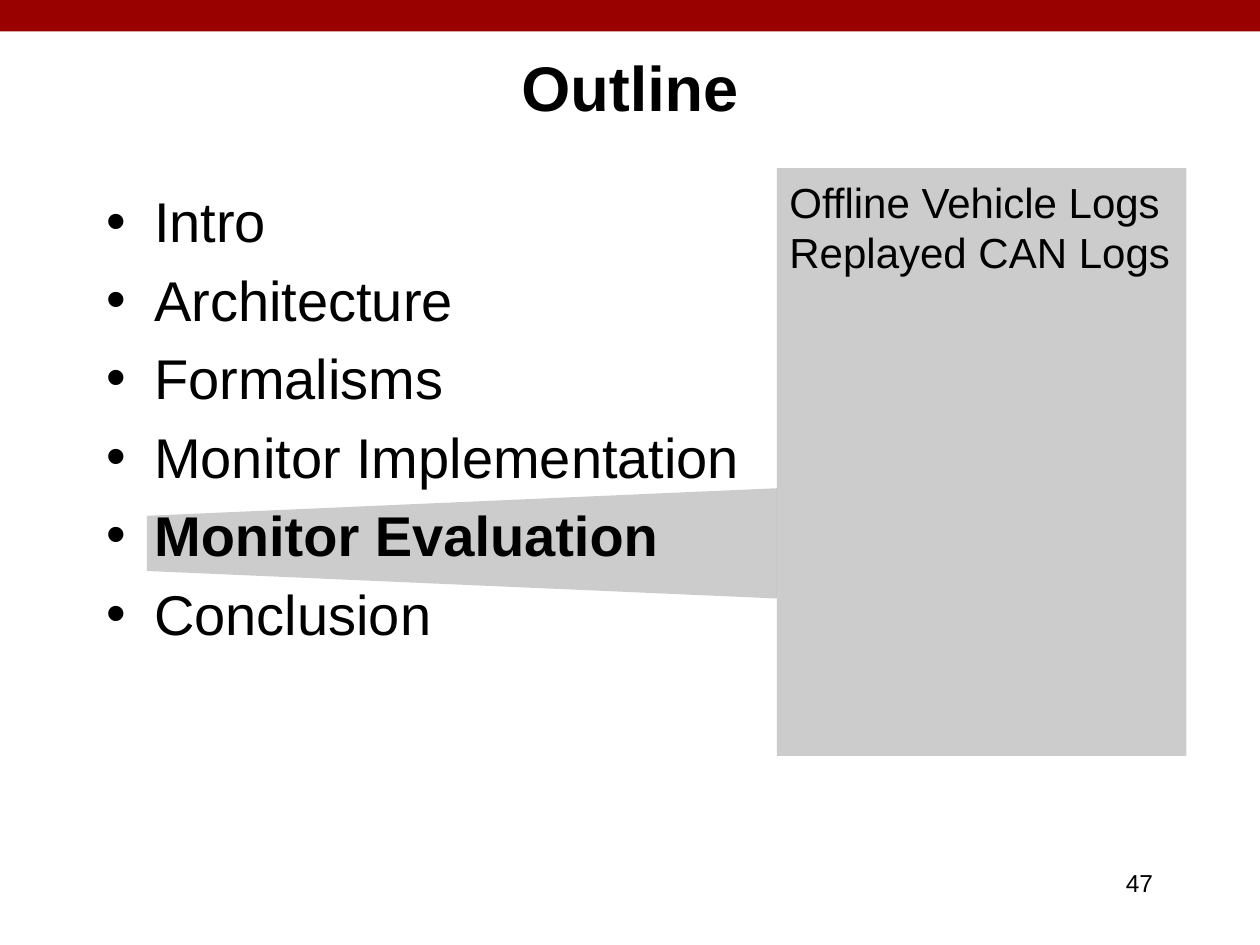
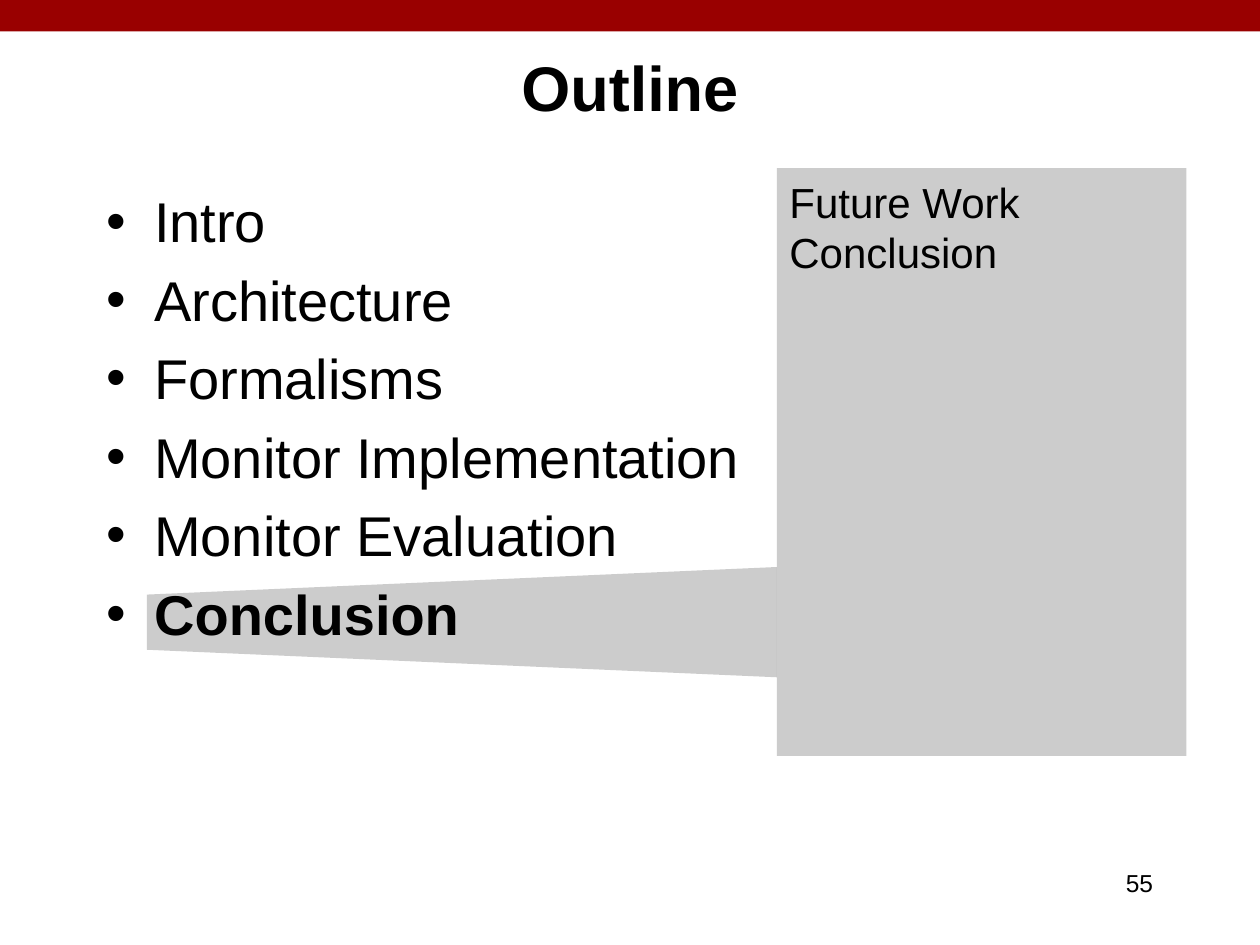
from lxml.etree import SubElement
from pptx import Presentation
from pptx.dml.color import RGBColor
from pptx.enum.shapes import MSO_SHAPE
from pptx.enum.text import MSO_ANCHOR, PP_ALIGN
from pptx.oxml.ns import qn
from pptx.util import Pt

# Content
TITLE = "Outline"
TOPICS = ["Intro", "Architecture", "Formalisms", "Monitor Implementation",
          "Monitor Evaluation", "Conclusion"]
PAGES = [
    ("Monitor Evaluation", ["Offline Vehicle Logs", "Replayed CAN Logs"], "47"),
    ("Conclusion", ["Future Work", "Conclusion"], "55"),
]

# Style
FONT = "Arial"
RED = RGBColor(0x99, 0x00, 0x00)
GRAY = RGBColor(0x80, 0x80, 0x80)
BLACK = RGBColor(0x00, 0x00, 0x00)
ALPHA = 40
LEAD = 1.2      # line pitch per point of text size
DROP = 0.04     # text shift per point of text size
INSET = 3.6

# Places in points: left, top, width, height
WIDE, HIGH = 720, 540
BAND = (0, 0, WIDE, 18)
HEAD = (54, 18, 612, 60)
LIST = (54, 102, 408, 360)
PANEL = (444, 96, 234, 336)
NUMBER = (516, 492, 150, 36)
BEAM_LONG, BEAM_WIDE = 360, 63
FIRST, STEP = 130.5, 45     # centre of the first beam, pitch of the topics
INDENT, GAP = 27, 6.4


def draw(slide, kind, place, color, alpha=None):
    shape = slide.shapes.add_shape(kind, *map(Pt, place))
    shape.shadow.inherit = False
    shape.line.fill.background()
    shape.fill.solid()
    shape.fill.fore_color.rgb = color
    if alpha:
        tone = shape.fill._xPr.find(f"{qn('a:solidFill')}/{qn('a:srgbClr')}")
        SubElement(tone, qn("a:alpha")).set("val", str(alpha * 1000))
    return shape


def write(shape, lines, size, align=PP_ALIGN.LEFT, anchor=MSO_ANCHOR.TOP,
          strong=None, bullet=False):
    frame = shape.text_frame
    frame.text = "\n".join(lines)
    frame.word_wrap = True
    frame.vertical_anchor = anchor
    frame.margin_top = Pt(INSET + DROP * size)
    frame.margin_bottom = Pt(INSET - DROP * size)
    for i, para in enumerate(frame.paragraphs):
        if bullet:
            props = para._p.get_or_add_pPr()
            props.set("marL", str(Pt(INDENT)))
            props.set("indent", str(-Pt(INDENT)))
            SubElement(props, qn("a:buFont")).set("typeface", FONT)
            SubElement(props, qn("a:buChar")).set("char", "•")
            if i:
                para.space_before = Pt(GAP)
        para.alignment = align
        para.line_spacing = Pt(LEAD * size)
        for run in para.runs:
            run.font.name = FONT
            run.font.size = Pt(size)
            run.font.color.rgb = BLACK
            run.font.bold = run.text == strong


def add_text(slide, place, lines, size, **style):
    write(slide.shapes.add_textbox(*map(Pt, place)), lines, size, **style)


def add_beam(slide, topic):
    # Turned trapezoid that widens from the topic to the panel
    mid_x = PANEL[0] - BEAM_LONG / 2
    mid_y = FIRST + STEP * TOPICS.index(topic)
    place = (mid_x - BEAM_WIDE / 2, mid_y - BEAM_LONG / 2, BEAM_WIDE, BEAM_LONG)
    beam = draw(slide, MSO_SHAPE.TRAPEZOID, place, GRAY, ALPHA)
    beam.rotation = 270


def add_page(deck, topic, parts, number):
    slide = deck.slides.add_slide(deck.slide_layouts[6])
    draw(slide, MSO_SHAPE.RECTANGLE, BAND, RED)

    # Panel with the parts of the current topic
    panel = draw(slide, MSO_SHAPE.RECTANGLE, PANEL, GRAY, ALPHA)
    write(panel, parts, 24)
    add_beam(slide, topic)

    # Title, topics and page number
    add_text(slide, HEAD, [TITLE], 36, align=PP_ALIGN.CENTER,
             anchor=MSO_ANCHOR.MIDDLE, strong=TITLE)
    add_text(slide, LIST, TOPICS, 32, strong=topic, bullet=True)
    add_text(slide, NUMBER, [number], 14, align=PP_ALIGN.RIGHT)


def main():
    deck = Presentation()
    deck.slide_width, deck.slide_height = Pt(WIDE), Pt(HIGH)
    for page in PAGES:
        add_page(deck, *page)
    deck.save("out.pptx")


if __name__ == "__main__":
    main()
